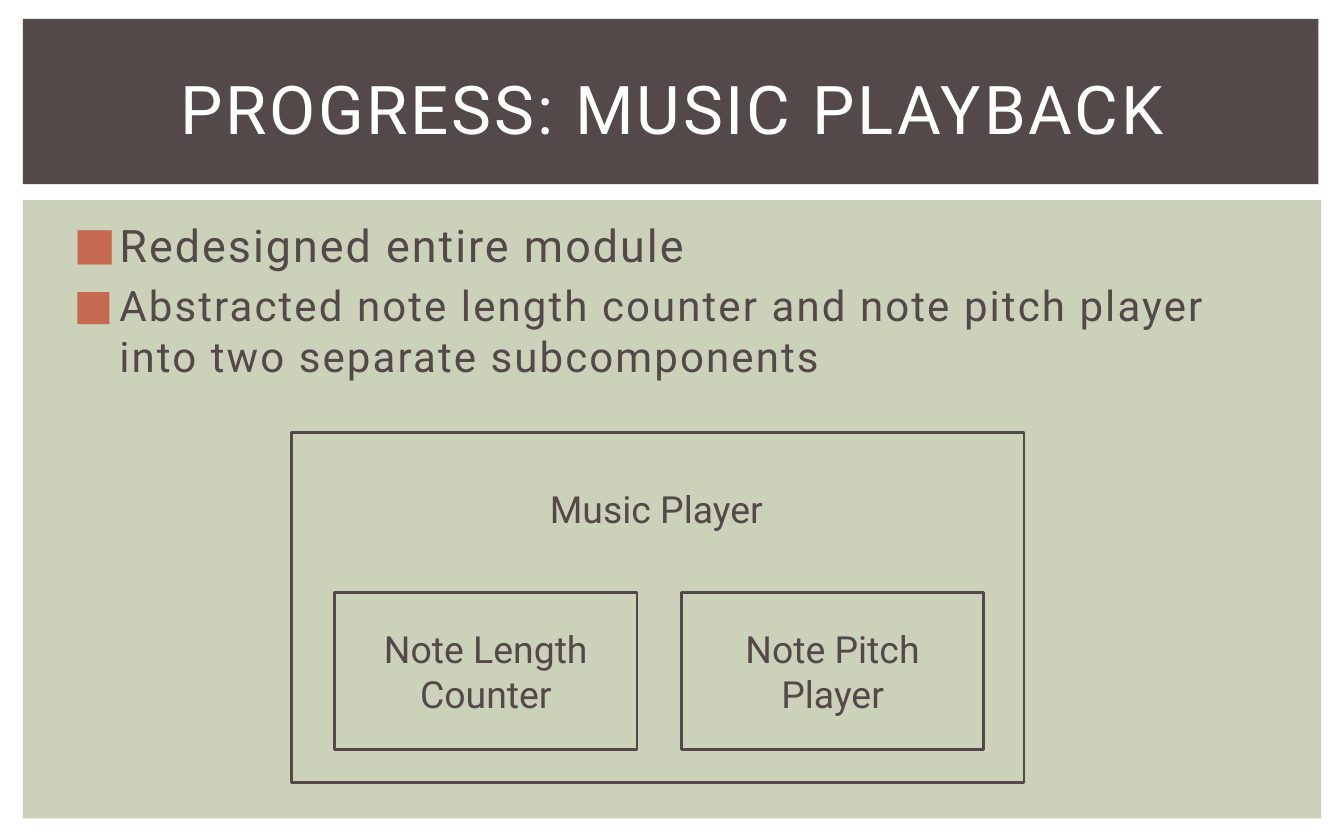
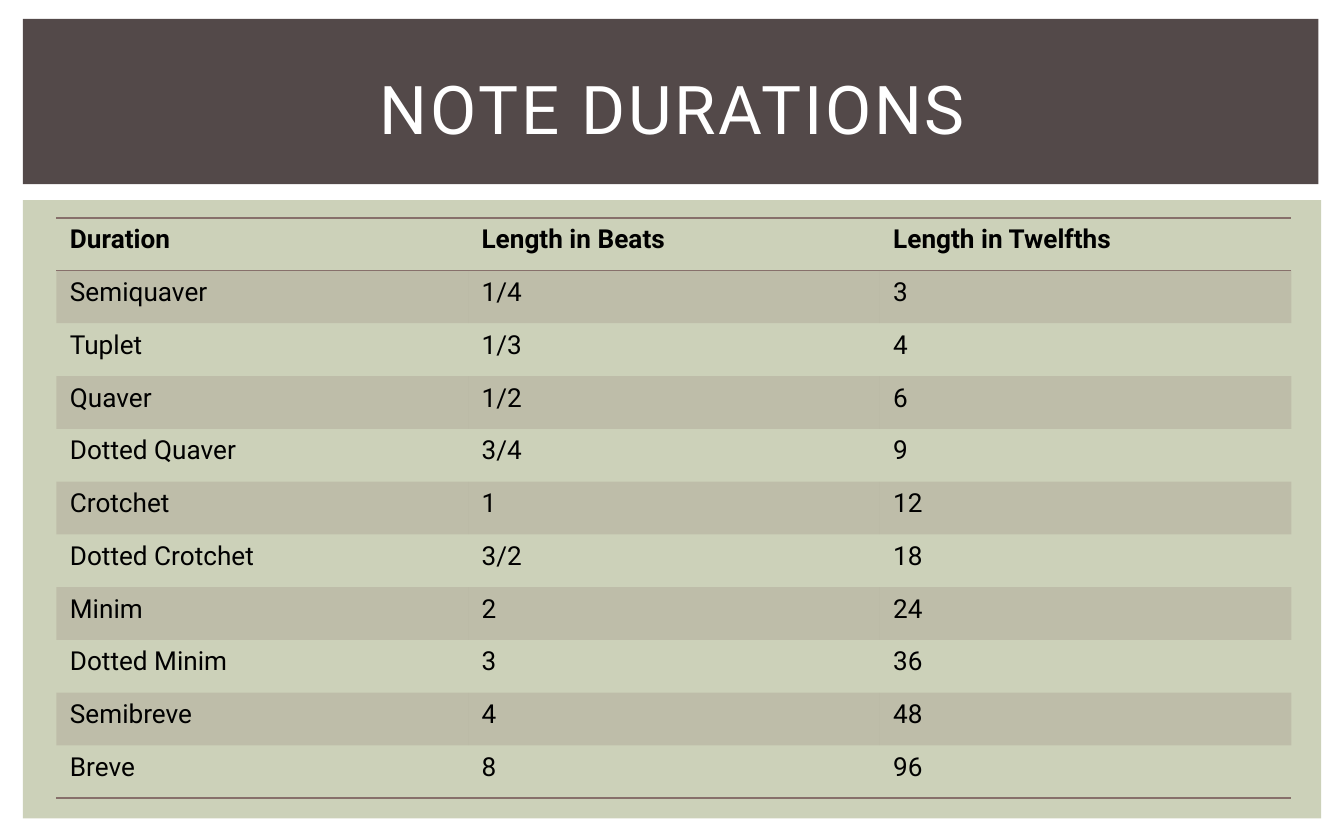
from lxml import etree
from pptx import Presentation
from pptx import util as u
from pptx.dml.color import RGBColor
from pptx.enum import shapes, text
from pptx.oxml import parse_xml
from pptx.oxml.ns import nsdecls, qn

COLORS = {
    "dark": "534949",
    "panel": "CCD1B9",
    "bullet": "C66951",
    "rule": "87706B",
    "white": "FFFFFF",
    "black": "000000",
}
FONT = "Roboto"

presentation = Presentation()
presentation.slide_width = u.Inches(10)
presentation.slide_height = u.Inches(6.25)
CELL = presentation.slide_width / 100  # square grid: 100 columns, 62.5 rows

TITLE = {"size": 36, "color": "white", "tracking": 1.5}
LABEL = {"size": 20, "color": "dark"}
CENTER = text.PP_ALIGN.CENTER


def draw_box(slide, area, fill=None, line=None):
    """Draw a rectangle on the grid with an optional fill and outline."""
    shape = slide.shapes.add_shape(
        shapes.MSO_SHAPE.RECTANGLE, *(round(n * CELL) for n in area))
    shape.shadow.inherit = False
    for paint, color in ((shape.fill, fill), (shape.line.fill, line)):
        if color:
            paint.solid()
            paint.fore_color.rgb = RGBColor.from_string(COLORS[color])
        else:
            paint.background()
    if line:
        shape.line.width = u.Pt(1.5)


def write(frame, lines, align=None, anchor=text.MSO_ANCHOR.TOP):
    """Fill a text frame with (words, format) lines; return its paragraphs."""
    frame.word_wrap = True
    frame.vertical_anchor = anchor
    for index, (words, style) in enumerate(lines):
        paragraph = frame.add_paragraph() if index else frame.paragraphs[0]
        paragraph.text = words
        paragraph.alignment = align
        for run in paragraph.runs:
            values = {"name": FONT, "size": u.Pt(style["size"]),
                      "bold": style.get("bold", False)}
            for key, value in values.items():
                setattr(run.font, key, value)
            run.font.color.rgb = RGBColor.from_string(COLORS[style["color"]])
            if "tracking" in style:
                run.font._element.set("spc", str(round(style["tracking"] * 100)))
    return frame.paragraphs


# Shared panel, band and title
slides = []
for title in ("PROGRESS: MUSIC PLAYBACK", "NOTE DURATIONS"):
    slide = presentation.slides.add_slide(presentation.slide_layouts[6])
    draw_box(slide, (1.7, 14.9, 96.6, 46), fill="panel")
    draw_box(slide, (1.7, 1.4, 96.4, 12.3), fill="dark")
    box = slide.shapes.add_textbox(
        *(round(n * CELL) for n in (4.2, 3.2, 91.7, 9.6)))
    write(box.text_frame, [(title, TITLE)], CENTER, text.MSO_ANCHOR.MIDDLE)
    slides.append(slide)
progress, durations = slides

# Slide 1: bullets
points = [
    ("Redesigned entire module", 24),
    ("Abstracted note length counter and note pitch player "
     "into two separate subcomponents", 22.5),
]
box = progress.shapes.add_textbox(
    *(round(n * CELL) for n in (4.2, 15.7, 91.9, 40.2)))
paragraphs = write(box.text_frame, [
    (words, {"size": size, "color": "dark", "tracking": 1.1})
    for words, size in points])
for paragraph, (words, size) in zip(paragraphs, points):
    paragraph.space_before = u.Pt(size * 0.2)
    properties = paragraph._p.get_or_add_pPr()
    properties.set("marL", str(u.Inches(0.37)))
    properties.set("indent", str(u.Inches(-0.34)))
    color = etree.SubElement(properties, qn("a:buClr"))
    etree.SubElement(color, qn("a:srgbClr"), val=COLORS["bullet"])
    etree.SubElement(properties, qn("a:buFont"), typeface=FONT)
    etree.SubElement(properties, qn("a:buChar"), char="■")

# Slide 1: player module with its two subcomponents
PART_WIDTH, PART_STEP = 22.5, 25.8
draw_box(progress, (21.7, 32.2, 54.5, 26), line="dark")
labels = [("Music Player", (37.3, 35.7, 23.1, 4.4))]
for index, name in enumerate(("Note Length Counter", "Note Pitch\vPlayer")):
    left = 24.9 + index * PART_STEP
    draw_box(progress, (left, 44.1, PART_WIDTH, 11.7), line="dark")
    labels.append((name, (left, 46.1, PART_WIDTH, 7.7)))
for name, area in labels:
    box = progress.shapes.add_textbox(*(round(n * CELL) for n in area))
    write(box.text_frame, [(name, LABEL)], CENTER)

# Slide 2: table of durations
rows = [
    ("Duration", "Length in Beats", "Length in Twelfths"),
    ("Semiquaver", "1/4", "3"),
    ("Tuplet", "1/3", "4"),
    ("Quaver", "1/2", "6"),
    ("Dotted Quaver", "3/4", "9"),
    ("Crotchet", "1", "12"),
    ("Dotted Crotchet", "3/2", "18"),
    ("Minim", "2", "24"),
    ("Dotted Minim", "3", "36"),
    ("Semibreve", "4", "48"),
    ("Breve", "8", "96"),
]
last = len(rows) - 1
table = durations.shapes.add_table(
    len(rows), len(rows[0]),
    *(round(n * CELL) for n in (4.2, 16.2, 91.9, 43.2))).table
table.first_row = table.horz_banding = False
# The "no style, no grid" table style
table._tbl.tblPr.find(qn("a:tableStyleId")).text = (
    "{2D5ABB26-0587-4C30-8999-92F81FD0307C}")
for r, row in enumerate(rows):
    edges = {0: ("lnT", "lnB"), last: ("lnB",)}.get(r, ())
    for c, words in enumerate(row):
        cell = table.cell(r, c)
        write(cell.text_frame, [
            (words, {"size": 14, "color": "black", "bold": r == 0})])
        properties = cell._tc.get_or_add_tcPr()
        if r % 2:
            cell.fill.solid()
            cell.fill.fore_color.rgb = RGBColor.from_string(COLORS["rule"])
            tint = properties.find(".//" + qn("a:srgbClr"))
            etree.SubElement(tint, qn("a:alpha"), val="20000")
        else:
            cell.fill.background()
        for position, edge in enumerate(edges):
            properties.insert(position, parse_xml(
                f'<a:{edge} {nsdecls("a")} w="{u.Pt(1)}"><a:solidFill>'
                f'<a:srgbClr val="{COLORS["rule"]}"/></a:solidFill></a:{edge}>'))

presentation.save("out.pptx")
